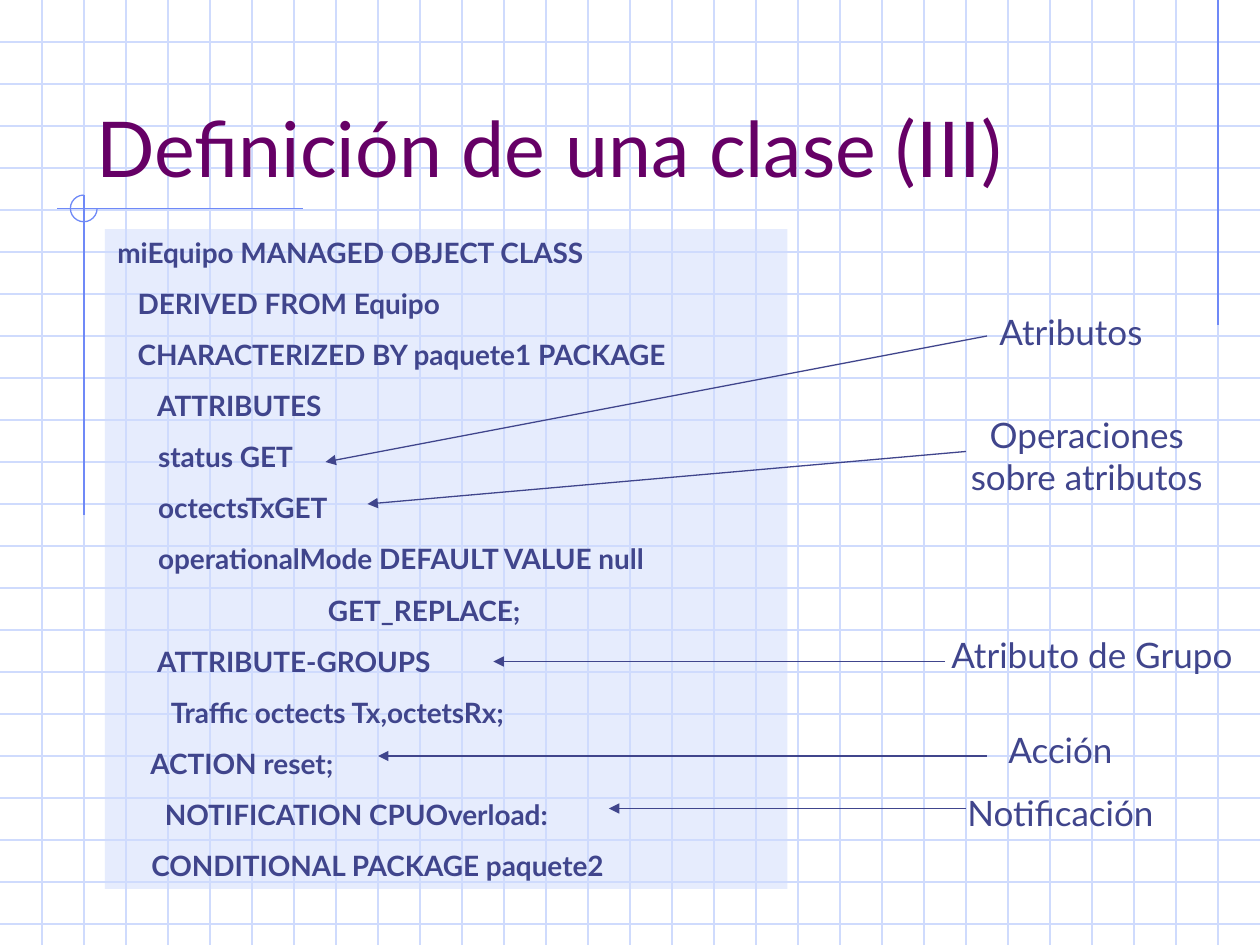
"""Build the slide on the definition of a managed object class."""
from lxml.etree import SubElement
from pptx import Presentation
from pptx.dml.color import RGBColor
from pptx.enum.shapes import MSO_CONNECTOR, MSO_SHAPE
from pptx.enum.text import MSO_ANCHOR, PP_ALIGN
from pptx.oxml.ns import qn
from pptx.util import Pt

GRID = RGBColor(0xCF, 0xDB, 0xFD)
TRIM = RGBColor(0x6F, 0x89, 0xF7)
INK = RGBColor(0x40, 0x45, 0x8C)
PLUM = RGBColor(0x66, 0x00, 0x66)
WIDE, HIGH, STEP = 720, 540, 24

CODE = """miEquipo MANAGED OBJECT CLASS
   DERIVED FROM Equipo
   CHARACTERIZED BY paquete1 PACKAGE
      ATTRIBUTES
      status GET
      octectsTxGET
      operationalMode DEFAULT VALUE null
                               GET_REPLACE;
      ATTRIBUTE-GROUPS
        Traffic octects Tx,octetsRx;
     ACTION reset;
       NOTIFICATION CPUOverload:
     CONDITIONAL PACKAGE paquete2"""

LABELS = [
    ("Atributos", (558, 174, 108, 31.5)),
    ("Operaciones sobre atributos", (540, 232.5, 162, 55.5)),
    ("Atributo de Grupo", (534, 358.5, 180, 55.5)),
    ("Acción", (516, 412.5, 180, 31.5)),
    ("Notificación", (516, 448.5, 180, 31.5)),
]
ARROWS = [
    (564, 192, 186, 264),
    (552, 258, 210, 288),
    (540, 378, 282, 378),
    (564, 432, 216, 432),
    (552, 462, 348, 462),
]


def write(frame, text, size=20, color=INK, bold=False, align=PP_ALIGN.LEFT,
          anchor=MSO_ANCHOR.TOP, gap=0, font="Lato"):
    """Fill a text frame, one paragraph for each line of text."""
    frame.word_wrap = True
    frame.vertical_anchor = anchor
    for i, line in enumerate(text.split("\n")):
        para = frame.add_paragraph() if i else frame.paragraphs[0]
        para.alignment = align
        para.space_before = Pt(gap if i else 0)
        run = para.add_run()
        run.text = line
        run.font.name = font
        run.font.size = Pt(size)
        run.font.bold = bold
        run.font.color.rgb = color


class Page:
    """Hold the style and the current slide."""

    def __init__(self, slide, weight=0.75):
        self.shapes = slide.shapes
        self.weight = Pt(weight)

    def line(self, x1, y1, x2, y2, color, head=False):
        """Draw a line, with an arrowhead at its end if asked."""
        ends = map(Pt, (x1, y1, x2, y2))
        line = self.shapes.add_connector(MSO_CONNECTOR.STRAIGHT, *ends)
        line.line.color.rgb = color
        line.line.width = self.weight
        if head:
            SubElement(line.line._get_or_add_ln(), qn("a:tailEnd"), type="triangle")
        SubElement(line._element.spPr, qn("a:effectLst"))

    def arc(self, area, start, end, color):
        """Draw an open arc, clockwise between two angles in degrees."""
        arc = self.shapes.add_shape(MSO_SHAPE.ARC, *map(Pt, area))
        arc.shadow.inherit = False
        arc.adjustments[0] = start * 0.6
        arc.adjustments[1] = end * 0.6
        arc.fill.background()
        arc.line.color.rgb = color
        arc.line.width = self.weight

    def panel(self, area, text, fill, alpha, **form):
        """Draw a see-through box with text."""
        box = self.shapes.add_shape(MSO_SHAPE.RECTANGLE, *map(Pt, area))
        box.shadow.inherit = False
        box.line.fill.background()
        box.fill.solid()
        box.fill.fore_color.rgb = fill
        tint = box._element.spPr.find(qn("a:solidFill"))[0]
        SubElement(tint, qn("a:alpha"), val=str(alpha * 1000))
        write(box.text_frame, text, **form)

    def text(self, area, text, **form):
        """Place a plain text box."""
        box = self.shapes.add_textbox(*map(Pt, area))
        write(box.text_frame, text, **form)


def main():
    """Build and save the deck."""
    deck = Presentation()
    deck.slide_width, deck.slide_height = Pt(WIDE), Pt(HIGH)
    page = Page(deck.slides.add_slide(deck.slide_layouts[6]))

    for y in range(STEP, HIGH, STEP):
        page.line(0, y, WIDE, y, GRID)
    for x in range(STEP, WIDE, STEP):
        page.line(x, 0, x, HIGH, GRID)

    page.line(696, 0, 696, 186, TRIM)
    page.line(173, 119.25, 32.5, 119.25, TRIM)
    page.line(48, 111.5, 48, 294.5, TRIM)
    page.arc((40.25, 111.5, 15.25, 15.25), 0, 270, TRIM)

    page.text((48, 24, 612, 90), "Definición de una clase (III)",
              size=44, color=PLUM, anchor=MSO_ANCHOR.BOTTOM)
    page.panel((60, 131, 390, 377), CODE, GRID, 50, size=16, bold=True, gap=10)
    for text, area in LABELS:
        page.text(area, text, align=PP_ALIGN.CENTER)
    for ends in ARROWS:
        page.line(*ends, INK, head=True)

    deck.save("out.pptx")


if __name__ == "__main__":
    main()
